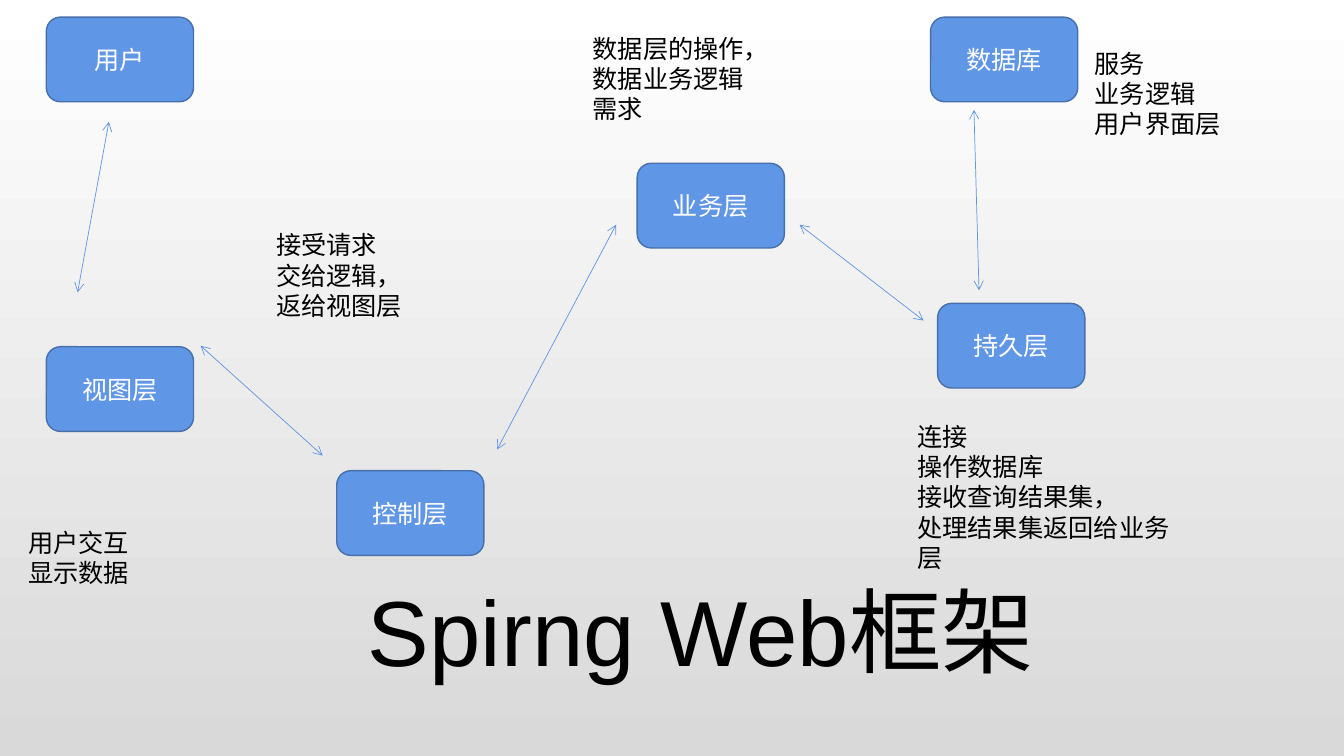
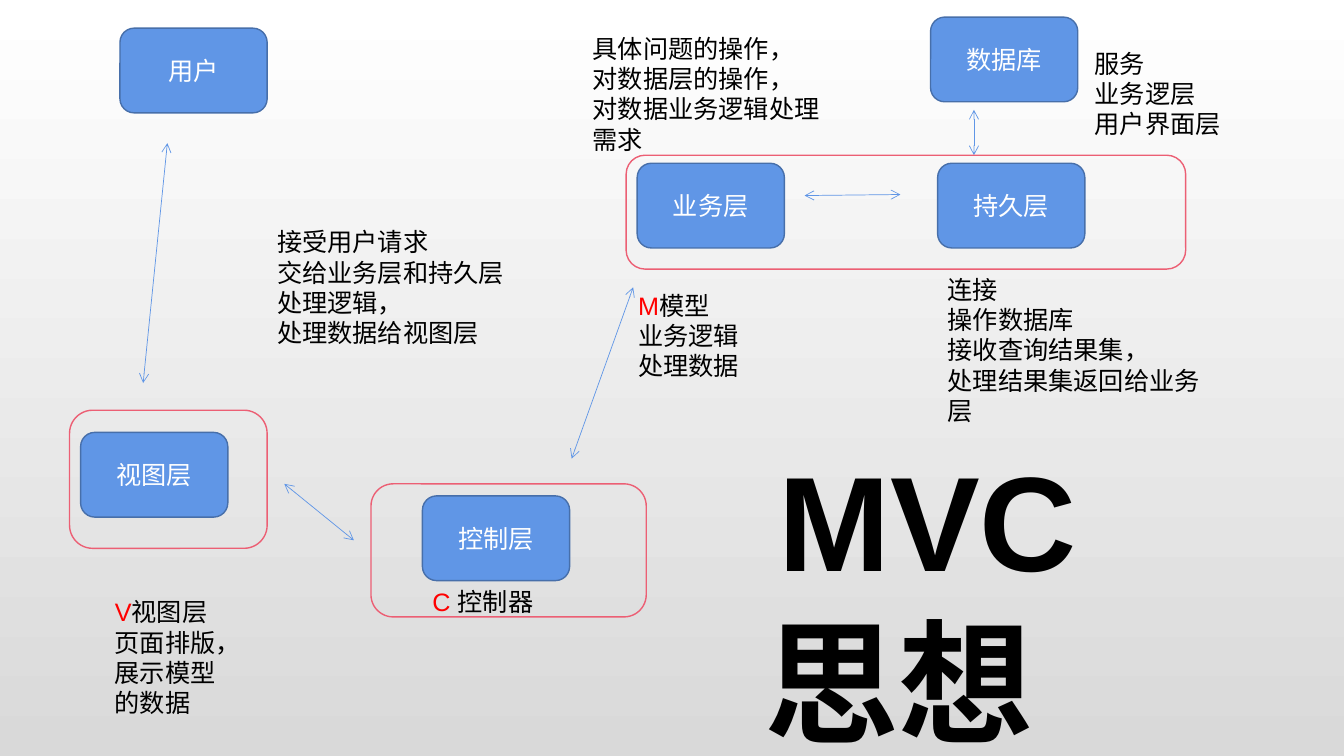
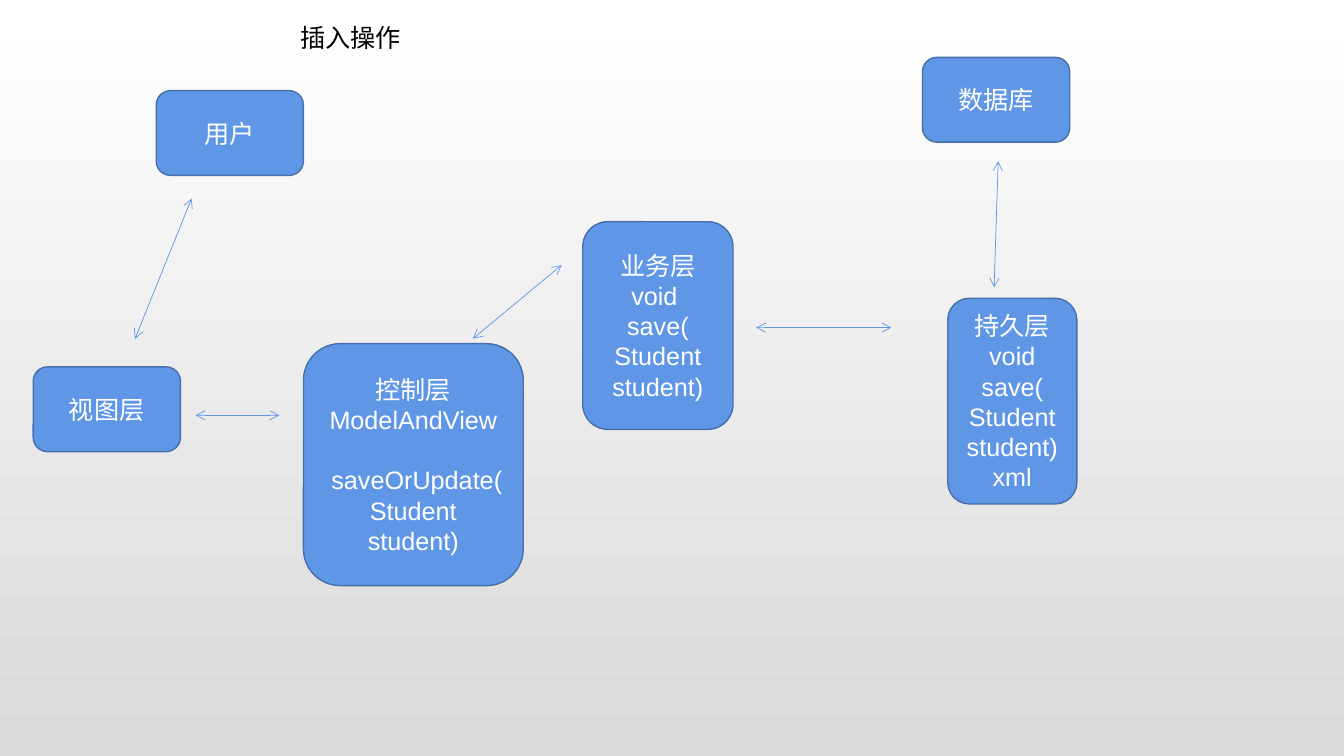
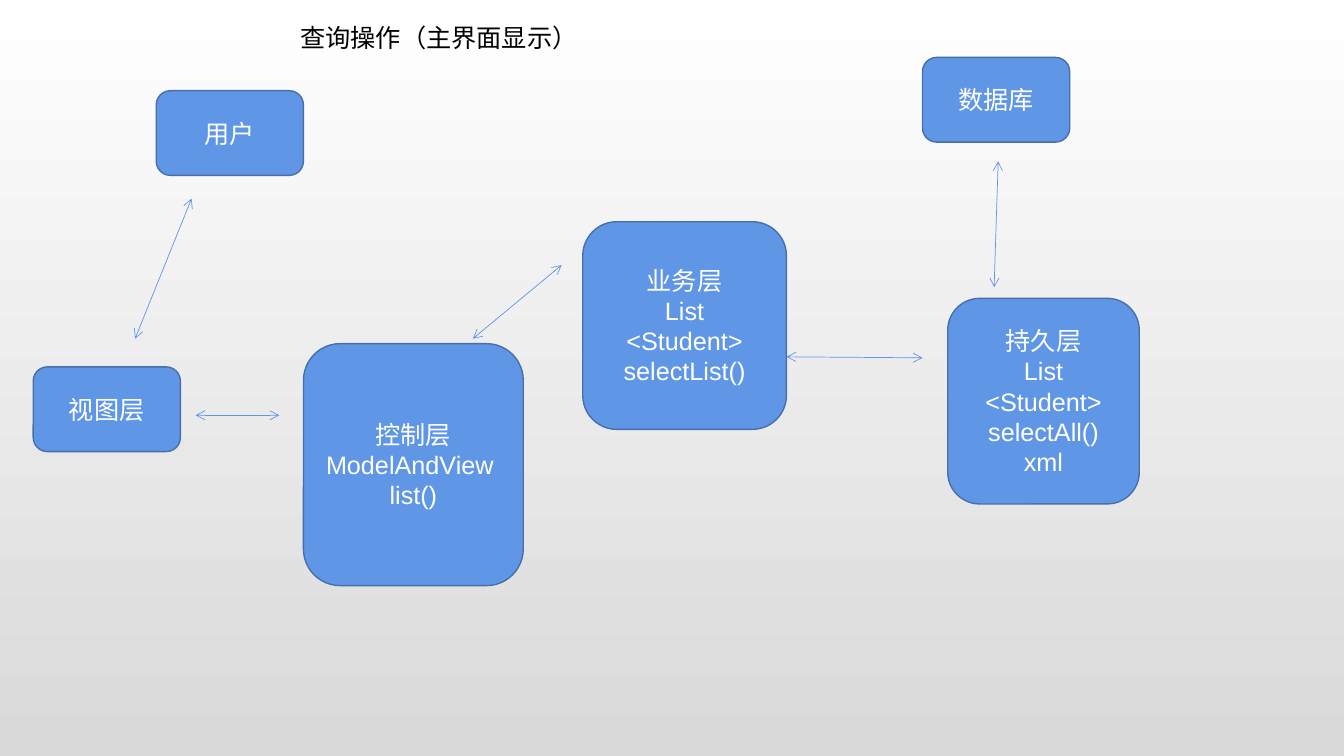
"""Build four slides on the layers of a web framework and its MVC flow."""
import dataclasses

import pptx
import pptx.dml.color
import pptx.enum.shapes
import pptx.enum.text
import pptx.oxml.ns
import pptx.util
from lxml import etree
from pptx.util import Inches, Pt

COLORS = {
    "node": "6096E6",
    "node_edge": "476FAA",
    "frame": "EC5F74",
    "light": "FFFFFF",
    "text": "000000",
    "accent": "FF0000",
    "background_end": "D9D9D9",
}
FONT = "Arial"
BODY_SIZE = 18
LINE_GAP = 21.6
NODE_SIZE = (1.46, 0.84)


@dataclasses.dataclass
class Line:
    """One paragraph with an optional red lead, indent and gap above."""
    text: str
    lead: str = ""
    indent: float = 0
    gap: float = 0


@dataclasses.dataclass
class Note:
    """A text box with its lines and type style."""
    lines: list
    box: tuple
    size: int = BODY_SIZE
    bold: bool = False


PERSISTENCE_NOTE = ["连接", "操作数据库", "接收查询结果集，", "处理结果集返回给业务层"]
OPERATION_NODES = [
    (["用户"], (1.55, 0.9)),
    (["视图层"], (0.33, 3.64)),
    (["数据库"], (9.15, 0.57)),
]
OPERATION_LINKS = [
    (1.94, 4.12, 2.77, 4.12),
    (4.69, 3.36, 5.57, 2.63),
    (1.9, 1.97, 1.34, 3.36),
    (9.9, 1.6, 9.86, 2.85),
]

SLIDES = [
    {
        "nodes": [
            (["用户"], (0.46, 0.17)),
            (["视图层"], (0.46, 3.44)),
            (["控制层"], (3.34, 4.67)),
            (["业务层"], (6.32, 1.62)),
            (["持久层"], (9.3, 3.01)),
            (["数据库"], (9.23, 0.17)),
        ],
        "links": [
            (1.99, 3.43, 3.2, 4.52),
            (4.93, 4.46, 6.11, 2.23),
            (7.93, 2.23, 9.16, 3.18),
            (1.08, 1.21, 0.77, 2.9),
            (9.66, 1.09, 9.71, 2.88),
        ],
        "frames": [],
        "notes": [
            Note(["用户交互", "显示数据"], (0.18, 5.18, 2.32, 0.71)),
            Note(["数据层的操作，", "数据业务逻辑", "需求"], (5.78, 0.28, 2.78, 1.01)),
            Note(PERSISTENCE_NOTE, (9, 4.13, 2.78, 1.61)),
            Note(["服务", "业务逻辑", "用户界面层"], (10.76, 0.43, 1.91, 1.01)),
            Note(["接受请求", "交给逻辑，", "返给视图层"], (2.64, 2.23, 2.59, 1.01)),
            Note(["Spirng Web框架"], (3.55, 5.65, 8.49, 1.21), size=66),
        ],
    },
    {
        "nodes": [
            (["用户"], (1.19, 0.28)),
            (["视图层"], (0.8, 4.29)),
            (["控制层"], (4.19, 4.92)),
            (["业务层"], (6.32, 1.62)),
            (["持久层"], (9.3, 1.62)),
            (["数据库"], (9.23, 0.17)),
        ],
        "links": [
            (2.82, 4.8, 3.51, 5.36),
            (5.67, 4.55, 6.28, 2.85),
            (7.98, 1.94, 8.93, 1.93),
            (1.66, 1.42, 1.42, 3.8),
            (9.66, 1.09, 9.66, 1.54),
        ],
        "frames": [
            (6.21, 1.54, 5.55, 1.13),
            (3.68, 4.8, 2.73, 1.32),
            (0.69, 4.07, 1.96, 1.37),
        ],
        "notes": [
            Note(["具体问题的操作，", "对数据层的操作，", "对数据业务逻辑处理", "需求"],
                 (5.78, 0.28, 2.78, 1.31)),
            Note(PERSISTENCE_NOTE, (9.3, 2.67, 2.78, 1.61)),
            Note(["服务", "业务逻层", "用户界面层"], (10.76, 0.43, 1.91, 1.01)),
            Note(["接受用户请求", "交给业务层和持久层处理逻辑，", "处理数据给视图层"],
                 (2.65, 2.2, 2.59, 1.31)),
            Note([Line("模型", lead="M"), "业务逻辑", "处理数据"], (6.23, 2.83, 2.33, 1.01)),
            Note([Line("控制器", lead="C ")], (4.19, 5.77, 1.42, 1.01)),
            Note([Line("视图层", lead="V"), "页面排版，", "展示模型的数据"],
                 (1.04, 5.87, 1.26, 1.31)),
            Note([Line("MVC", indent=0.74), Line("思想", indent=0.6)],
                 (6.88, 4.29, 5.2, 3.33), size=96, bold=True),
        ],
    },
    {
        "nodes": OPERATION_NODES + [
            (["控制层", "ModelAndView", Line(" saveOrUpdate(", gap=LINE_GAP), "Student student)"],
             (3.01, 3.41, 2.18, 2.4)),
            (["业务层", "void ", "save(", "Student student)"], (5.78, 2.2, 1.49, 2.06)),
            (["持久层", "void save(", "Student student)", "xml"], (9.4, 2.96, 1.28, 2.04)),
        ],
        "links": OPERATION_LINKS + [(7.5, 3.25, 8.84, 3.25)],
        "frames": [],
        "notes": [Note(["插入操作"], (2.88, 0.17, 2.19, 0.4))],
    },
    {
        "nodes": OPERATION_NODES + [
            (["控制层", "ModelAndView ", "list()"], (3.01, 3.41, 2.18, 2.4)),
            (["业务层", "List", "<Student> selectList()"], (5.78, 2.2, 2.02, 2.06)),
            (["持久层", "List", "<Student> selectAll()", "xml"], (9.4, 2.96, 1.9, 2.04)),
        ],
        "links": OPERATION_LINKS + [(7.8, 3.54, 9.15, 3.55)],
        "frames": [],
        "notes": [Note(["查询操作（主界面显示）"], (2.88, 0.17, 3.21, 0.4))],
    },
]


def color(name):
    return pptx.dml.color.RGBColor.from_string(COLORS[name])


def set_background(master):
    fill = master.background.fill
    fill.gradient()
    fill.gradient_angle = 270
    for stop, name in zip(fill.gradient_stops, ("light", "background_end")):
        stop.color.rgb = color(name)


def write_lines(text_frame, lines, text_color, size=BODY_SIZE, bold=False, alignment=None):
    for index, item in enumerate(lines):
        line = item if isinstance(item, Line) else Line(item)
        paragraph = text_frame.add_paragraph() if index else text_frame.paragraphs[0]
        paragraph.alignment = alignment
        if line.gap:
            paragraph.space_before = Pt(line.gap)
        if line.indent:
            paragraph._p.get_or_add_pPr().set("marL", str(Inches(line.indent)))
        for text, name in ((line.lead, "accent"), (line.text, text_color)):
            if text:
                run = paragraph.add_run()
                run.text = text
                run.font.name = FONT
                run.font.size = Pt(size)
                run.font.bold = bold
                run.font.color.rgb = color(name)


def add_rounded_box(slide, box, edge, fill=None):
    shape = slide.shapes.add_shape(
        pptx.enum.shapes.MSO_SHAPE.ROUNDED_RECTANGLE, *map(Inches, box))
    shape.shadow.inherit = False
    if fill:
        shape.fill.solid()
        shape.fill.fore_color.rgb = color(fill)
    else:
        shape.fill.background()
    shape.line.color.rgb = color(edge)
    shape.line.width = Pt(1)
    return shape


def add_node(slide, lines, box):
    if len(box) == 2:
        box += NODE_SIZE
    shape = add_rounded_box(slide, box, "node_edge", "node")
    shape.text_frame.vertical_anchor = pptx.enum.text.MSO_ANCHOR.MIDDLE
    write_lines(shape.text_frame, lines, "light",
                alignment=pptx.enum.text.PP_ALIGN.CENTER)


def add_link(slide, ends):
    connector = slide.shapes.add_connector(
        pptx.enum.shapes.MSO_CONNECTOR.STRAIGHT, *map(Inches, ends))
    connector.line.color.rgb = color("node")
    connector.line.width = Pt(0.5)
    line = connector.line._get_or_add_ln()
    for tag in ("a:headEnd", "a:tailEnd"):
        etree.SubElement(line, pptx.oxml.ns.qn(tag), type="arrow")
    etree.SubElement(connector._element.spPr, pptx.oxml.ns.qn("a:effectLst"))


def add_note(slide, note):
    text_frame = slide.shapes.add_textbox(*map(Inches, note.box)).text_frame
    text_frame.word_wrap = True
    text_frame.auto_size = pptx.enum.text.MSO_AUTO_SIZE.SHAPE_TO_FIT_TEXT
    write_lines(text_frame, note.lines, "text", note.size, note.bold)


def main():
    presentation = pptx.Presentation()
    presentation.slide_width = Inches(13.33)
    presentation.slide_height = Inches(7.5)
    set_background(presentation.slide_master)
    for content in SLIDES:
        slide = presentation.slides.add_slide(presentation.slide_layouts[6])
        for lines, box in content["nodes"]:
            add_node(slide, lines, box)
        for ends in content["links"]:
            add_link(slide, ends)
        for box in content["frames"]:
            add_rounded_box(slide, box, "frame")
        for note in content["notes"]:
            add_note(slide, note)
    presentation.save("out.pptx")


if __name__ == "__main__":
    main()
